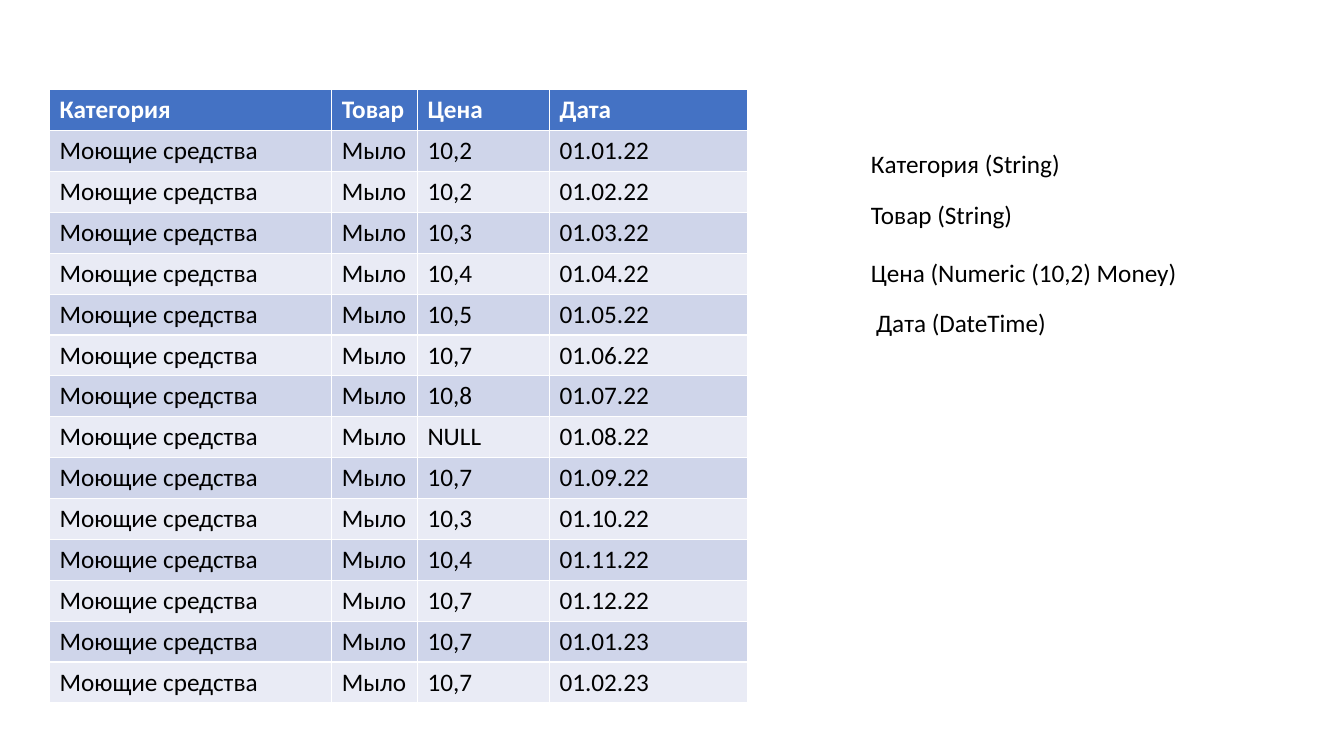
from dataclasses import dataclass

from pptx import Presentation
from pptx.dml.color import RGBColor
from pptx.enum.text import MSO_AUTO_SIZE
from pptx.util import Inches, Pt


@dataclass(frozen=True)
class Theme:
    font: str = "Calibri"
    size: int = 18
    ink: str = "000000"
    light: str = "FFFFFF"
    head: str = "4472C4"
    bands: tuple = ("CFD5EA", "E9EBF5")


THEME = Theme()
HEADS = ("Категория", "Товар", "Цена", "Дата")
WIDTHS = (2.8, 0.85, 1.31, 1.96)
PRICES = ("10,2", "10,2", "10,3", "10,4", "10,5", "10,7", "10,8",
          "NULL", "10,7", "10,3", "10,4", "10,7", "10,7", "10,7")
TYPES = (
    (8.54, 1.42, 3.09, "Категория (String)"),
    (8.54, 1.93, 1.8, "Товар (String)"),
    (8.54, 2.5, 3.48, "Цена (Numeric (10,2) Money)"),
    (8.59, 3, 3.48, "Дата (DateTime)"),
)


def write(frame, text, color, bold=False):
    line = frame.paragraphs[0]
    line.text = text
    font = line.font
    font.name, font.size, font.bold = THEME.font, Pt(THEME.size), bold
    font.color.rgb = RGBColor.from_string(color)


def sales():
    """Return one row per month, starting in January 2022."""
    return [("Моющие средства", "Мыло", price,
             f"01.{month % 12 + 1:02}.{22 + month // 12}")
            for month, price in enumerate(PRICES)]


def add_grid(slide, rows):
    """Add the table; its default style draws the white borders."""
    grid = slide.shapes.add_table(
        len(rows), len(WIDTHS), Inches(0.49), Inches(0.89),
        Inches(sum(WIDTHS)), Inches(6.08)).table
    for column, width in zip(grid.columns, WIDTHS):
        column.width = Inches(width)
    for r, row in enumerate(rows):
        top = r == 0
        fill = THEME.head if top else THEME.bands[(r - 1) % 2]
        for c, text in enumerate(row):
            cell = grid.cell(r, c)
            cell.fill.solid()
            cell.fill.fore_color.rgb = RGBColor.from_string(fill)
            write(cell.text_frame, text,
                  THEME.light if top else THEME.ink, top)


def add_label(slide, left, top, width, text):
    box = slide.shapes.add_textbox(
        Inches(left), Inches(top), Inches(width), Inches(0.4))
    frame = box.text_frame
    frame.word_wrap = True
    frame.auto_size = MSO_AUTO_SIZE.SHAPE_TO_FIT_TEXT
    write(frame, text, THEME.ink)


def main():
    deck = Presentation()
    deck.slide_width, deck.slide_height = Inches(13.33), Inches(7.5)
    slide = deck.slides.add_slide(deck.slide_layouts[6])
    add_grid(slide, [HEADS, *sales()])
    for label in TYPES:
        add_label(slide, *label)
    deck.save("out.pptx")


if __name__ == "__main__":
    main()
